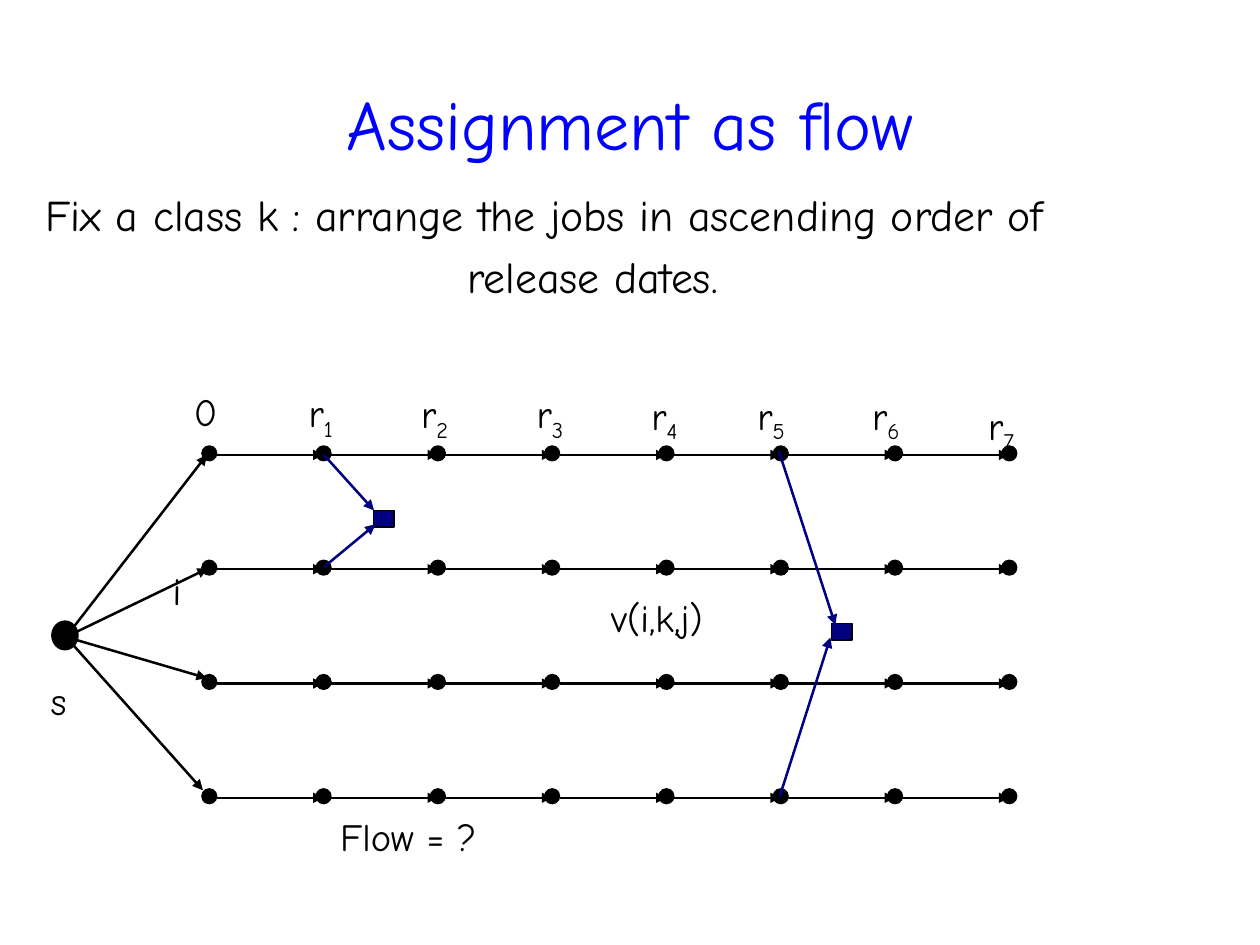
import lxml.etree
import pptx
import pptx.dml.color
import pptx.enum.shapes
import pptx.enum.text
import pptx.oxml.ns
import pptx.util

Cm = pptx.util.Cm
Pt = pptx.util.Pt
Align = pptx.enum.text.PP_ALIGN
Anchor = pptx.enum.text.MSO_ANCHOR
Preset = pptx.enum.shapes.MSO_SHAPE


def colour(hex_value):
    return pptx.dml.color.RGBColor.from_string(hex_value)


class FlowSlide:
    font = "Comic Neue"
    black = "000000"
    navy = "000080"
    blue = "0000FF"
    label_size = 22

    def __init__(self, slide):
        self.shapes = slide.shapes

    def frame(self, left, top, width, height, wrap=False, insets=(0.23, 0.1)):
        box = self.shapes.add_textbox(Cm(left), Cm(top), Cm(width), Cm(height))
        frame = box.text_frame
        frame.word_wrap = wrap
        frame.margin_left = frame.margin_right = Cm(insets[0])
        frame.margin_top = frame.margin_bottom = Cm(insets[1])
        return frame

    def run(self, paragraph, wording, size, ink=black, subscript=False):
        paragraph.line_spacing = 1.17
        run = paragraph.add_run()
        run.text = wording
        run.font.name = self.font
        run.font.size = Pt(size)
        run.font.color.rgb = colour(ink)
        if subscript:
            run._r.get_or_add_rPr().set("baseline", "-25000")

    def title(self, wording):
        frame = self.frame(1.27, 0.86, 22.86, 2.95, True, (0, 0))
        frame.vertical_anchor = Anchor.MIDDLE
        heading = frame.paragraphs[0]
        heading.alignment = Align.CENTER
        self.run(heading, wording, 40, self.blue)

    def statement(self, opening, ending):
        frame = self.frame(0.69, 3.51, 22.71, 2.74, True)
        self.run(frame.paragraphs[0], opening, 25)
        last = frame.add_paragraph()
        last._p.get_or_add_pPr().set("marL", str(Cm(8.5)))
        self.run(last, ending, 25)

    def label(self, left, top, width, wording, index=""):
        paragraph = self.frame(left, top, width, 1.3).paragraphs[0]
        self.run(paragraph, wording, self.label_size)
        if index:
            self.run(paragraph, index, self.label_size, subscript=True)

    def node(self, x, y, width, height, preset=Preset.OVAL, fill=black):
        node = self.shapes.add_shape(
            preset, Cm(x - width / 2), Cm(y - height / 2), Cm(width), Cm(height)
        )
        node.shadow.inherit = False
        node.fill.solid()
        node.fill.fore_color.rgb = colour(fill)
        node.line.color.rgb = colour(self.black)
        node.line.width = Pt(0.75)

    def arrow(self, start, end, ink=black):
        arrow = self.shapes.add_connector(
            pptx.enum.shapes.MSO_CONNECTOR.STRAIGHT, *map(Cm, start + end)
        )
        arrow.line.color.rgb = colour(ink)
        arrow.line.width = Pt(1.45)
        qn = pptx.oxml.ns.qn
        outline = arrow.line._get_or_add_ln()
        lxml.etree.SubElement(outline, qn("a:tailEnd"), type="triangle")
        lxml.etree.SubElement(arrow._element.spPr, qn("a:effectLst"))


def main():
    deck = pptx.Presentation()
    deck.slide_width, deck.slide_height = Cm(25.4), Cm(19.05)
    flow = FlowSlide(deck.slides.add_slide(deck.slide_layouts[6]))

    flow.title("Assignment as flow")
    flow.statement(
        "Fix a class k : arrange the jobs in ascending order of", "release dates."
    )

    step = 2.304
    dates = [4.22 + step * column for column in range(8)]
    machines = [9.14 + step * row for row in range(4)]
    for y in machines:
        for x in dates:
            flow.node(x, y, 0.3, 0.3)
        for x, following in zip(dates, dates[1:]):
            flow.arrow((x + 0.15, y + 0.03), (following, y + 0.03))

    flow.label(3.68, 7.57, 0.91, "0")
    release_labels = [
        (5.99, 7.57), (8.26, 7.59), (10.59, 7.59), (12.9, 7.62),
        (15.04, 7.62), (17.35, 7.62), (19.69, 7.82),
    ]
    for number, (left, top) in enumerate(release_labels, 1):
        flow.label(left, top, 1.19, "r", str(number))

    jobs = [
        (7.74, 10.46, [((6.53, 9.17), (7.54, 10.29)), ((6.53, 11.43), (7.57, 10.57))]),
        (16.97, 12.74, [((15.7, 9.09), (16.84, 12.6)), ((15.72, 16.05), (16.74, 12.85))]),
    ]
    for x, y, assignments in jobs:
        flow.node(x, y, 0.41, 0.33, Preset.RECTANGLE, flow.navy)
        for start, end in assignments:
            flow.arrow(start, end, flow.navy)

    flow.node(1.31, 12.81, 0.53, 0.58)
    for entry in [(4.17, 9.17), (4.19, 11.46), (4.17, 13.67), (4.09, 15.93)]:
        flow.arrow((1.33, 12.84), entry)

    flow.label(0.79, 13.39, 0.84, "s")
    flow.label(3.25, 11.18, 0.66, "i")
    flow.label(12.09, 11.71, 2.74, "v(i,k,j)")
    flow.label(6.63, 16.13, 3.56, "Flow = ?")

    deck.save("out.pptx")


if __name__ == "__main__":
    main()
